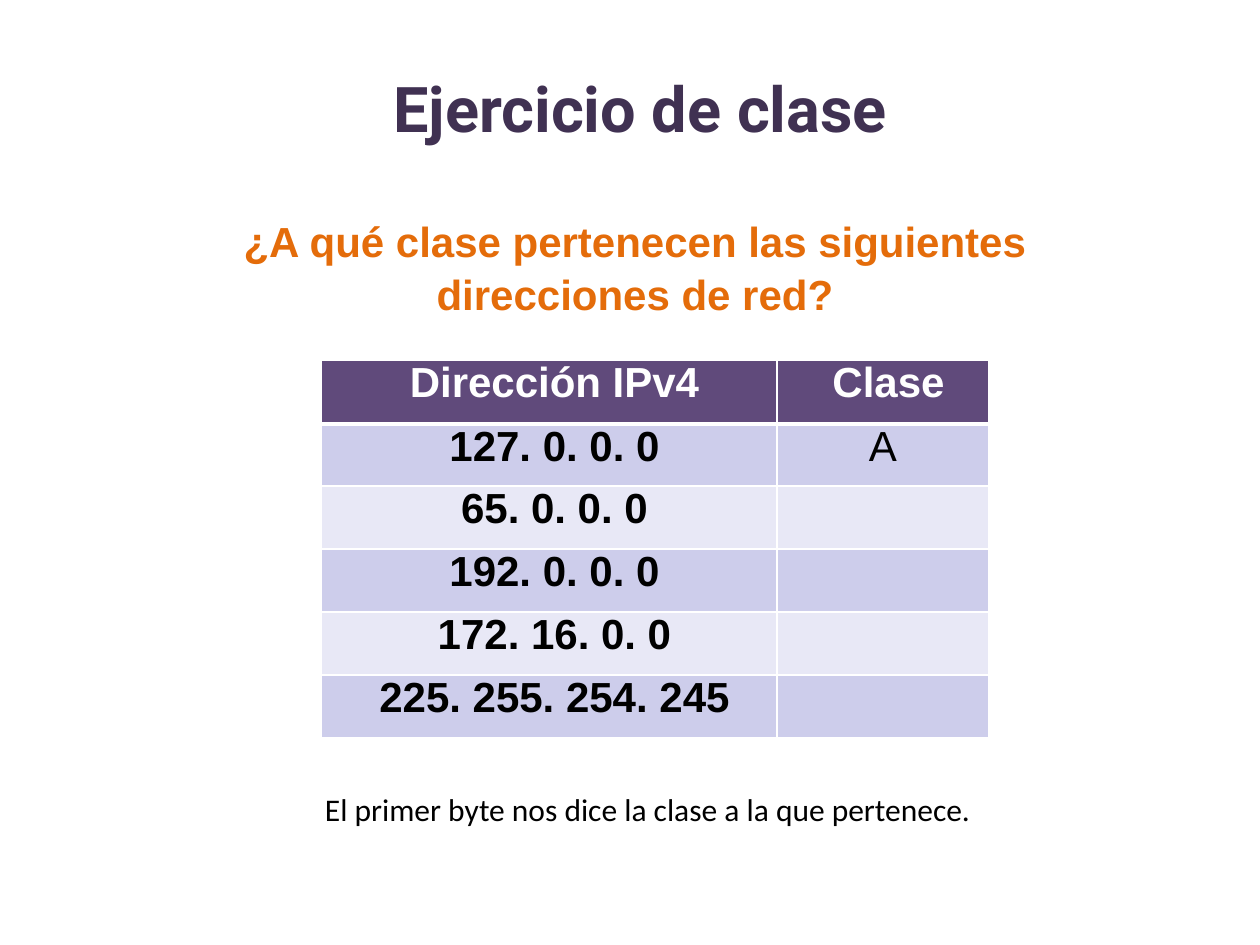
from lxml.etree import SubElement
from pptx import Presentation
from pptx.dml.color import RGBColor
from pptx.enum.text import MSO_ANCHOR as Anchor, PP_ALIGN as Align
from pptx.oxml.ns import qn
from pptx.util import Emu, Pt

PX = 914400 // 126  # EMU per pixel


def px(length):
    return Emu(round(length * PX))


def color(value):
    return RGBColor.from_string(value)


def write(frame, text, font="Arial", size=24, fill="000000", bold=False,
          align=Align.CENTER, indent=0, spacing=None):
    paragraph = frame.paragraphs[0]
    paragraph.alignment = align
    paragraph.line_spacing = spacing
    if indent:
        paragraph._p.get_or_add_pPr().set("marL", str(px(indent)))
    run = paragraph.add_run()
    run.text = text
    run.font.name, run.font.size, run.font.bold = font, Pt(size), bold
    run.font.color.rgb = color(fill)


class Deck:
    HEADER, BANDS, BORDER = "604A7B", ("CDCDEB", "E8E8F6"), "FFFFFF"

    def __init__(self, width, height):
        self.file = Presentation()
        self.file.slide_width, self.file.slide_height = px(width), px(height)
        self.slide = self.file.slides.add_slide(self.file.slide_layouts[6])

    def text(self, box, text, inset=(0, 0), anchor=Anchor.TOP, **style):
        frame = self.slide.shapes.add_textbox(*map(px, box)).text_frame
        frame.word_wrap, frame.vertical_anchor = True, anchor
        frame.margin_left = frame.margin_right = px(inset[0])
        frame.margin_top = frame.margin_bottom = px(inset[1])
        write(frame, text, **style)

    def border(self, cell, side, points):
        line = SubElement(cell._tc.get_or_add_tcPr(), qn(f"a:ln{side}"),
                          w=str(Pt(points)))
        fill = SubElement(line, qn("a:solidFill"))
        SubElement(fill, qn("a:srgbClr"), val=self.BORDER)

    def cell(self, cell, row, text, **style):
        cell.margin_left = cell.margin_right = 0
        cell.margin_top = cell.margin_bottom = 0
        for side in "LRTB":
            thick = (row, side) in ((0, "B"), (1, "T"))
            self.border(cell, side, 3 if thick else 1)
        cell.fill.solid()
        cell.fill.fore_color.rgb = color(
            self.BANDS[(row - 1) % 2] if row else self.HEADER)
        if text:
            write(cell.text_frame, text,
                  fill="FFFFFF" if row == 0 else "000000", **style)

    def table(self, left, top, widths, heights, rows):
        table = self.slide.shapes.add_table(
            len(rows), len(widths), px(left), px(top),
            px(sum(widths)), px(sum(heights))).table
        table.horz_banding = False
        for column, width in zip(table.columns, widths):
            column.width = px(width)
        for r, (values, height) in enumerate(zip(rows, heights)):
            table.rows[r].height = px(height)
            for c, value in enumerate(values):
                label = r == 0 or c == 0
                self.cell(table.cell(r, c), r, value, bold=label,
                          indent=11 if label else 0)


deck = Deck(1260, 945)

# Question
deck.text((233, 213, 804, 102),
          "¿A qué clase pertenecen las siguientes direcciones de red?",
          fill="E46C0A", bold=True, spacing=1.05)

# Addresses and their classes
addresses = [
    ("Dirección IPv4", "Clase"),
    ("127. 0. 0. 0", "A"),
    ("65. 0. 0. 0", ""),
    ("192. 0. 0. 0", ""),
    ("172. 16. 0. 0", ""),
    ("225. 255. 254. 245", ""),
]
deck.table(321, 360, (456, 212), (64, 62, 63, 63, 63, 63), addresses)

# Title
deck.text((20, 28, 1225, 158), " Ejercicio de clase", inset=(13, 6),
          anchor=Anchor.MIDDLE, font="Roboto", size=36, fill="403152",
          bold=True)

# Hint
deck.text((312, 784, 814, 50),
          "El primer byte nos dice la clase a la que pertenece.",
          inset=(13, 6), font="Calibri", size=18, align=Align.LEFT)

deck.file.save("out.pptx")
